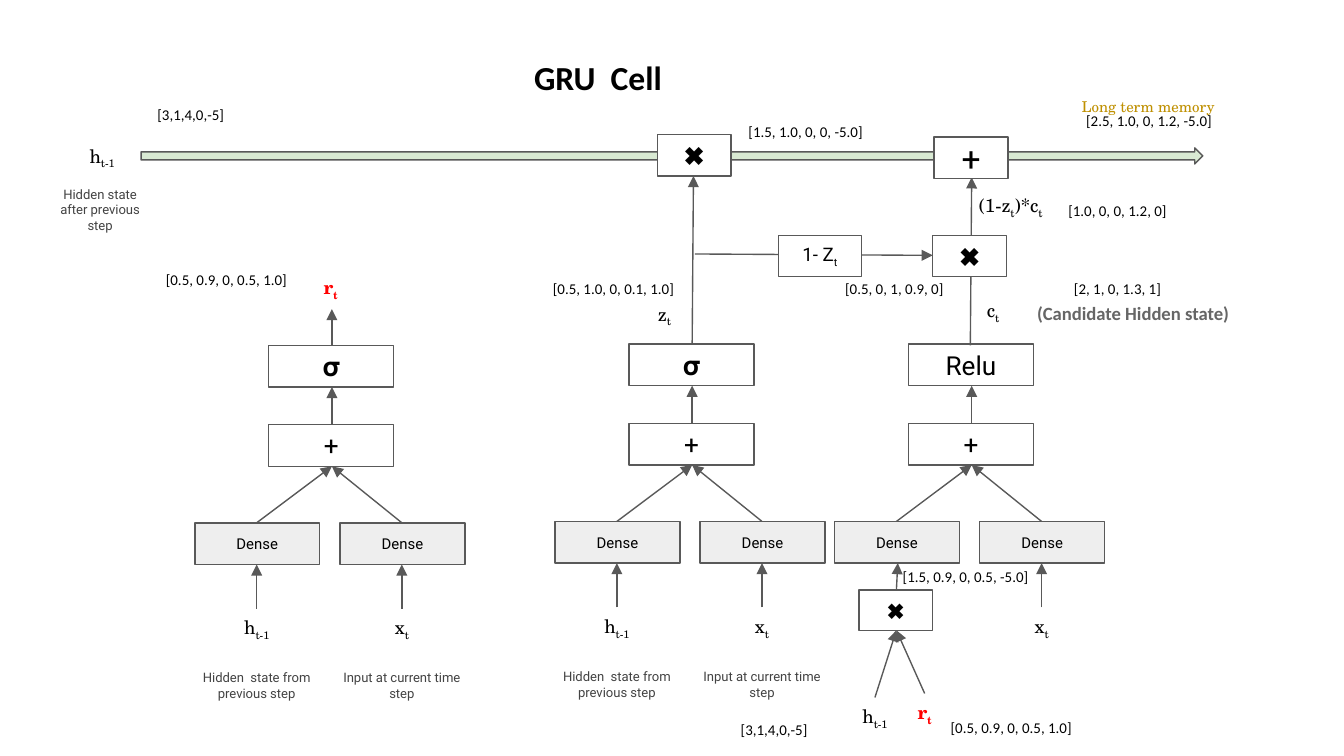
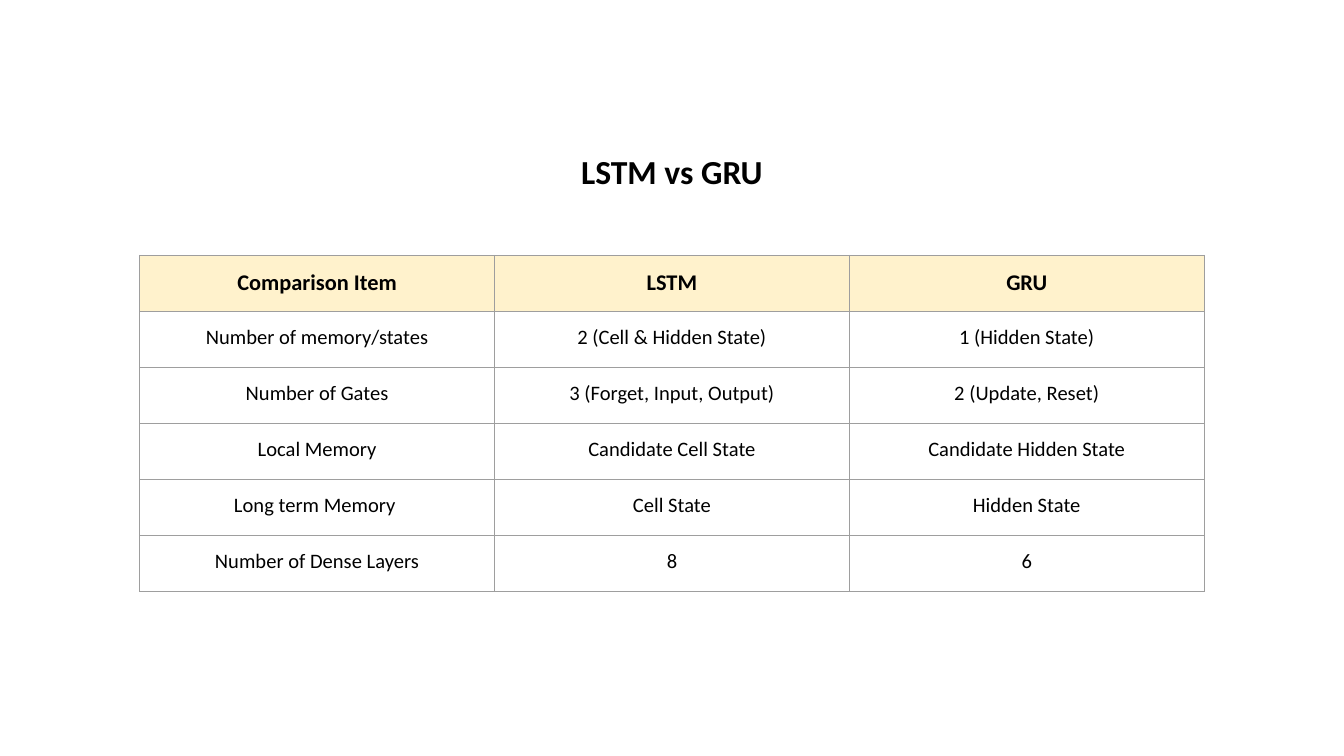
from typing import NamedTuple

import pptx
import pptx.dml.color
import pptx.enum.shapes
import pptx.enum.text
import pptx.oxml.ns
import pptx.presentation
import pptx.shapes.autoshape
import pptx.slide
import pptx.table
import pptx.text.text
import pptx.util
from lxml import etree

RGB = pptx.dml.color.RGBColor
SHAPES = pptx.enum.shapes.MSO_SHAPE
ANCHOR = pptx.enum.text.MSO_ANCHOR
PX = 9144  # EMU in one px: 100 px to the inch
WIDTH = 1000
PAD = 10

BLACK = RGB(0x00, 0x00, 0x00)
WHITE = RGB(0xFF, 0xFF, 0xFF)
EDGE = RGB(0x59, 0x59, 0x59)
PALE = RGB(0xEE, 0xEE, 0xEE)
GREEN = RGB(0xD9, 0xEA, 0xD3)
CREAM = RGB(0xFF, 0xF2, 0xCC)
GRID = RGB(0x9E, 0x9E, 0x9E)
GOLD = RGB(0xBF, 0x90, 0x00)
RED = RGB(0xFF, 0x00, 0x00)
DARK = RGB(0x43, 0x43, 0x43)
GREY = RGB(0x66, 0x66, 0x66)

SERIF = "TeX Gyre Schola"


class Look(NamedTuple):
    form: dict[str, object]
    ink: RGB


def look(name: str, size: int, ink: RGB = BLACK, bold: bool = False) -> Look:
    return Look({"name": name, "size": pptx.util.Pt(size), "bold": bold}, ink)


TITLE = look("Calibri", 18, bold=True)
VECTOR = look("Calibri", 8)
SYMBOL = look(SERIF, 10)
RESET = look(SERIF, 10, RED, True)
MEMORY = look(SERIF, 8, GOLD)
NOTE = look("Roboto", 7, DARK)
STATE = look("Calibri", 10, GREY, True)
DENSE = look("Roboto", 8)
SMALL = look("Roboto", 10)
TIMES = look("Roboto", 12)
SIGN = look("Roboto", 14)
PLUS = look("Roboto", 18)
HEAD = look("Calibri", 12, bold=True)
BODY = look("Calibri", 11)


class Label(NamedTuple):
    text: str
    x: int
    y: int
    w: int
    h: int
    look: Look
    anchor: ANCHOR = ANCHOR.MIDDLE


class Node(NamedTuple):
    text: str
    x: int
    y: int
    w: int
    h: int
    look: Look
    fill: RGB | None = WHITE


class Arrow(NamedTuple):
    x1: int
    y1: int
    x2: int
    y2: int


class Gate(NamedTuple):
    """A pair of Dense boxes that meet in a sum and an activation."""
    x: int
    y: int
    act: str
    hidden: bool  # the hidden state feeds the left Dense box directly
    notes: bool


GATES = [
    Gate(413, 388, "𝛔", True, True),
    Gate(145, 389, "𝛔", True, True),
    Gate(621, 388, "Relu", False, False),
]
ARROWS = [
    Arrow(517, 189, 694, 190),
    Arrow(515, 256, 516, 131),
    Arrow(722, 257, 723, 132),
    Arrow(247, 257, 247, 230),
    Arrow(651, 519, 667, 469),
    Arrow(688, 516, 667, 469),
    Arrow(667, 439, 668, 419),
]
NODES = [
    Node("✖", 489, 100, 55, 31, SIGN),
    Node("✖", 694, 175, 55, 31, SIGN),
    Node("+", 695, 102, 55, 31, PLUS),
    Node("1- Z_t", 579, 175, 62, 31, SMALL),
    Node("✖", 639, 439, 55, 30, TIMES),
]
LABELS = [
    Label("GRU  Cell", 355, 32, 180, 50, TITLE, ANCHOR.TOP),
    Label("(1-z_t_)*c_t", 713, 139, 78, 30, SYMBOL),
    Label("Long term memory ", 766, 66, 180, 27, MEMORY),
    Label("h_t-1", 47, 102, 58, 30, SYMBOL),
    Label("Hidden state after previous step", 31, 137, 87, 38, NOTE),
    Label("z_t", 468, 221, 53, 27, SYMBOL),
    Label("c_t", 720, 217, 38, 30, SYMBOL),
    Label("(Candidate Hidden state) ", 761, 216, 164, 43, STATE, ANCHOR.TOP),
    Label("r_t", 227, 200, 38, 30, RESET),
    Label("h_t-1", 622, 519, 58, 30, SYMBOL),
    Label("r_t", 669, 516, 38, 30, RESET),
]
VECTORS = [
    ("[0.5, 0.9, 0, 0.5, 1.0]", 109, 189, 119),
    ("[3,1,4,0,-5]", 76, 66, 132),
    ("[0.5, 1.0, 0, 0.1, 1.0]", 397, 196, 119),
    ("[1.5, 1.0, 0, 0, -5.0]", 540, 79, 119),
    ("[0.5, 0, 1, 0.9, 0]", 606, 196, 119),
    ("[2, 1, 0, 1.3, 1]", 772, 196, 119),
    ("[1.0, 0, 0, 1.2, 0]", 772, 138, 119),
    ("[2.5, 1.0, 0, 1.2, -5.0]", 789, 71, 132),
    ("[0.5, 0.9, 0, 0.5, 1.0]", 693, 522, 119),
    ("[3,1,4,0,-5]", 510, 524, 132),
    ("[1.5, 0.9, 0, 0.5, -5.0]", 659, 410, 119),
]
ROWS = [
    ("Comparison Item", "LSTM", "GRU"),
    ("Number of memory/states", "2 (Cell & Hidden State)", "1 (Hidden State)"),
    ("Number of Gates", "3 (Forget, Input, Output)", "2 (Update, Reset)"),
    ("Local Memory", "Candidate Cell State", "Candidate Hidden State"),
    ("Long term Memory ", "Cell State", "Hidden State"),
    ("Number of Dense Layers", "8", "6"),
]


def write(frame: pptx.text.text.TextFrame, text: str, style: Look) -> None:
    """Write centred text in which underscores switch subscript on and off."""
    para = frame.paragraphs[0]
    para.alignment = pptx.enum.text.PP_ALIGN.CENTER
    for i, part in enumerate(text.split("_")):
        run = para.add_run()
        run.text = part
        for key, value in style.form.items():
            setattr(run.font, key, value)
        run.font.color.rgb = style.ink
        if i % 2:
            run._r.get_or_add_rPr().set("baseline", "-25000")


def pad(item: object) -> None:
    for side in ("left", "right", "top", "bottom"):
        setattr(item, f"margin_{side}", PAD * PX)


def fit(frame: pptx.text.text.TextFrame, anchor: ANCHOR) -> None:
    pad(frame)
    frame.word_wrap = True
    frame.vertical_anchor = anchor


def draw_label(slide: pptx.slide.Slide, label: Label) -> None:
    box = slide.shapes.add_textbox(*(n * PX for n in label[1:5]))
    fit(box.text_frame, label.anchor)
    write(box.text_frame, label.text, label.look)


def draw_shape(slide: pptx.slide.Slide, kind: SHAPES, x: int, y: int, w: int,
               h: int, fill: RGB | None) -> pptx.shapes.autoshape.Shape:
    shape = slide.shapes.add_shape(kind, x * PX, y * PX, w * PX, h * PX)
    shape.shadow.inherit = False
    if fill is None:
        shape.fill.background()
    else:
        shape.fill.solid()
        shape.fill.fore_color.rgb = fill
    shape.line.color.rgb = EDGE
    shape.line.width = pptx.util.Pt(0.75)
    return shape


def draw_node(slide: pptx.slide.Slide, node: Node) -> None:
    shape = draw_shape(slide, SHAPES.RECTANGLE, *node[1:5], node.fill)
    fit(shape.text_frame, ANCHOR.MIDDLE)
    write(shape.text_frame, node.text, node.look)


def draw_arrow(slide: pptx.slide.Slide, arrow: Arrow) -> None:
    kind = pptx.enum.shapes.MSO_CONNECTOR.STRAIGHT
    link = slide.shapes.add_connector(kind, *(n * PX for n in arrow))
    link.line.color.rgb = EDGE
    link.line.width = pptx.util.Pt(0.75)
    qn = pptx.oxml.ns.qn
    etree.SubElement(link.line._get_or_add_ln(), qn("a:tailEnd"), type="triangle")
    etree.SubElement(link._element.spPr, qn("a:effectLst"))


def draw_gate(slide: pptx.slide.Slide, gate: Gate) -> None:
    x, y = gate.x, gate.y
    mid = x + 102
    inputs = [
        ("h_t-1", "Hidden  state from previous step", gate.hidden),
        ("x_t", "Input at current time step", True),
    ]
    for i, (name, note, fed) in enumerate(inputs):
        left = x + i * 108
        axis = left + 46
        draw_node(slide, Node("Dense", left, y, 93, 31, DENSE, PALE))
        draw_arrow(slide, Arrow(axis, y, mid, y - 42))
        if fed:
            draw_arrow(slide, Arrow(axis, y + 64, axis, y + 31))
            draw_label(slide, Label(name, axis - 29, y + 64, 58, 30, SYMBOL))
        if gate.notes:
            draw_label(slide, Label(note, axis - 55, y + 102, 110, 38, NOTE))
    draw_arrow(slide, Arrow(mid, y - 73, mid, y - 101))
    for text, top in (("+", y - 73), (gate.act, y - 132)):
        draw_node(slide, Node(text, x + 55, top, 93, 31, SIGN, None))


def draw_cell(cell: pptx.table._Cell, text: str, first: bool) -> None:
    pad(cell)
    write(cell.text_frame, text, HEAD if first else BODY)
    qn = pptx.oxml.ns.qn
    props = cell._tc.get_or_add_tcPr()
    for side in "LRTB":
        edge = etree.SubElement(props, qn(f"a:ln{side}"), w="9525")
        fill = etree.SubElement(edge, qn("a:solidFill"))
        etree.SubElement(fill, qn("a:srgbClr"), val=str(GRID))
    if first:
        cell.fill.solid()
        cell.fill.fore_color.rgb = CREAM
    else:
        cell.fill.background()


def build_cell(slide: pptx.slide.Slide) -> None:
    """Draw the GRU cell diagram."""
    draw_shape(slide, SHAPES.RIGHT_ARROW, 105, 110, 790, 12, GREEN)
    for arrow in ARROWS:
        draw_arrow(slide, arrow)
    for gate in GATES:
        draw_gate(slide, gate)
    for node in NODES:
        draw_node(slide, node)
    for label in LABELS:
        draw_label(slide, label)
    for text, x, y, w in VECTORS:
        draw_label(slide, Label(text, x, y, w, 38, VECTOR))


def build_table(slide: pptx.slide.Slide) -> None:
    rows, cols = len(ROWS), len(ROWS[0])
    table = slide.shapes.add_table(rows, cols, 104 * PX, 190 * PX,
                                   792 * PX, 250 * PX).table
    for i, row in enumerate(ROWS):
        for j, text in enumerate(row):
            draw_cell(table.cell(i, j), text, i == 0)
    draw_label(slide, Label("LSTM vs GRU", 410, 102, 180, 50, TITLE, ANCHOR.TOP))


def main() -> None:
    deck = pptx.Presentation()
    deck.slide_width = WIDTH * PX
    deck.slide_height = WIDTH * PX * 9 // 16
    for build in (build_cell, build_table):
        build(deck.slides.add_slide(deck.slide_layouts[6]))
    deck.save("out.pptx")


if __name__ == "__main__":
    main()
